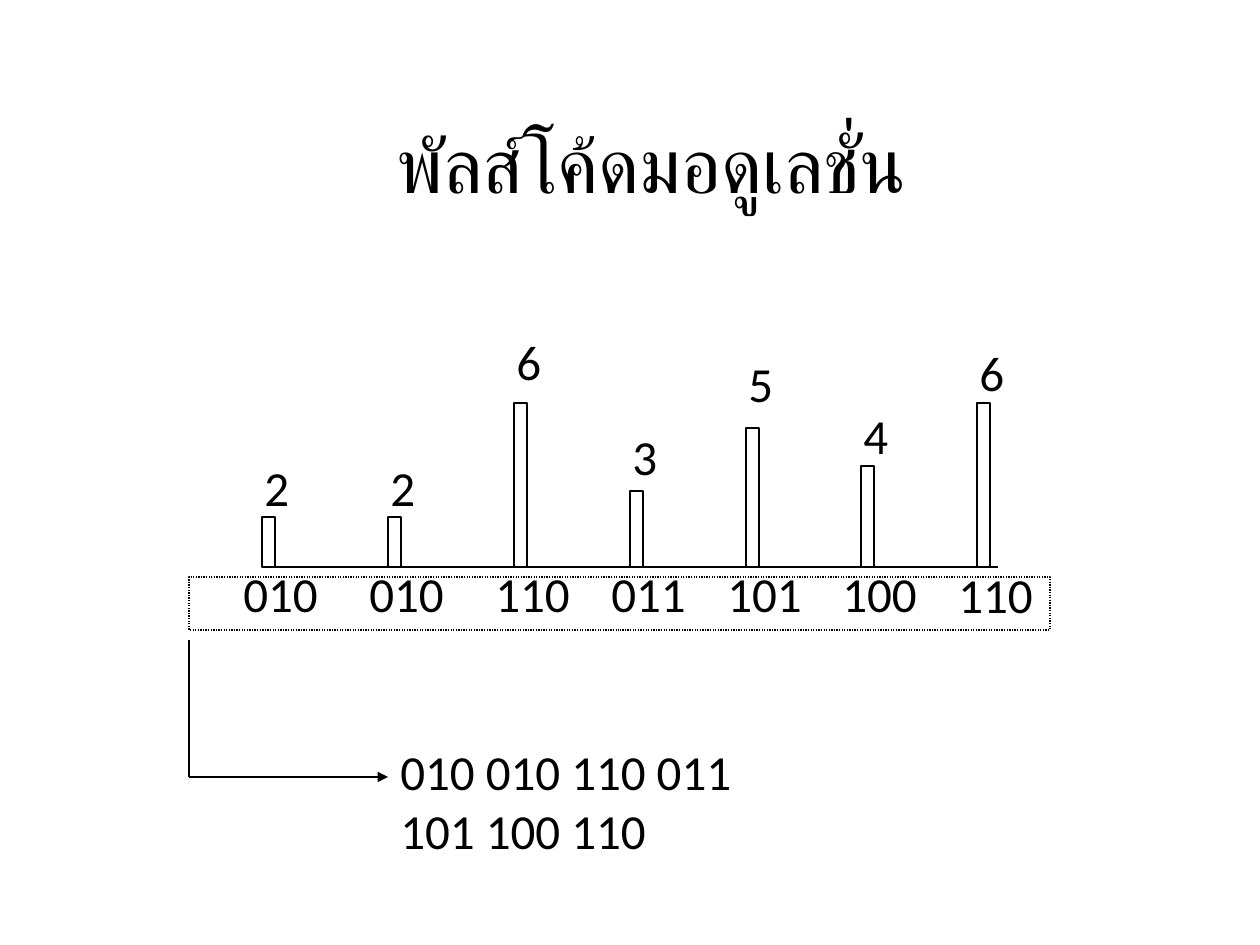
from lxml.etree import SubElement
from pptx import Presentation
from pptx.dml.color import RGBColor
from pptx.enum.dml import MSO_LINE
from pptx.enum.shapes import MSO_CONNECTOR, MSO_SHAPE
from pptx.enum.text import MSO_ANCHOR, MSO_AUTO_SIZE, PP_ALIGN
from pptx.oxml.ns import qn
from pptx.util import Pt

TITLE = "พัลส์โค้ดมอดูเลชั่น"
# level, code, bar left, bar height, level top, code top
PULSES = [
    ("2", "010", 262, 50, 451, 557),
    ("2", "010", 388, 50, 451, 557),
    ("6", "110", 514, 164, 325, 557),
    ("3", "011", 630, 76, 420, 557),
    ("5", "101", 746, 139, 347, 557),
    ("4", "100", 861, 101, 399, 557),
    ("6", "110", 977, 164, 336, 558),
]
BASELINE = 567
BAR_WIDTH = 13
FONT = "Calibri"
BLACK, WHITE = "000000", "FFFFFF"
EMU_PER_PX = 914400 / 126


def px(length):
    return round(length * EMU_PER_PX)


def box(*lengths):
    return [px(length) for length in lengths]


def color(value):
    return RGBColor.from_string(value)


def style_text(paragraph, size):
    paragraph.font.size = Pt(size)
    paragraph.font.name = FONT
    paragraph.font.color.rgb = color(BLACK)


def add_text(text, left, top, width, height):
    label = slide.shapes.add_textbox(*box(left, top, width, height))
    frame = label.text_frame
    frame.word_wrap = True
    frame.auto_size = MSO_AUTO_SIZE.SHAPE_TO_FIT_TEXT
    frame.text = text
    style_text(frame.paragraphs[0], 28)


def add_rect(left, top, width, height):
    rect = slide.shapes.add_shape(MSO_SHAPE.RECTANGLE, *box(left, top, width, height))
    rect.shadow.inherit = False
    rect.line.color.rgb = color(BLACK)
    rect.line.width = Pt(0.75)
    return rect


def add_line(x1, y1, x2, y2, arrow=False):
    line = slide.shapes.add_connector(MSO_CONNECTOR.STRAIGHT, *box(x1, y1, x2, y2))
    line.line.color.rgb = color(BLACK)
    line.line.width = Pt(0.75)
    if arrow:
        SubElement(line.line._get_or_add_ln(), qn("a:tailEnd"), type="triangle")
    SubElement(line._element.spPr, qn("a:effectLst"))


prs = Presentation()
prs.slide_width, prs.slide_height = box(1260, 945)
slide = prs.slides.add_slide(prs.slide_layouts[5])

title = slide.shapes.title
title.left, title.top, title.width, title.height = box(116, 84, 1071, 158)
title.text_frame.text = TITLE
title.text_frame.vertical_anchor = MSO_ANCHOR.MIDDLE
title.text_frame.paragraphs[0].alignment = PP_ALIGN.CENTER
style_text(title.text_frame.paragraphs[0], 44)

for level, code, left, height, level_top, code_top in PULSES:
    bar = add_rect(left, BASELINE - height, BAR_WIDTH, height)
    bar.fill.solid()
    bar.fill.fore_color.rgb = color(WHITE)
    add_text(level, left - 10, level_top, 84, 72)
    add_text(code, left - 31, code_top, 116, 72)
add_line(PULSES[0][2], BASELINE, 998, BASELINE)

code_frame = add_rect(189, 577, 861, 53)
code_frame.fill.background()
code_frame.line.dash_style = MSO_LINE.ROUND_DOT

add_line(189, 640, 189, 777)
add_line(189, 777, 388, 777, arrow=True)
add_text(" ".join(pulse[1] for pulse in PULSES), 388, 735, 431, 131)

prs.save("out.pptx")
